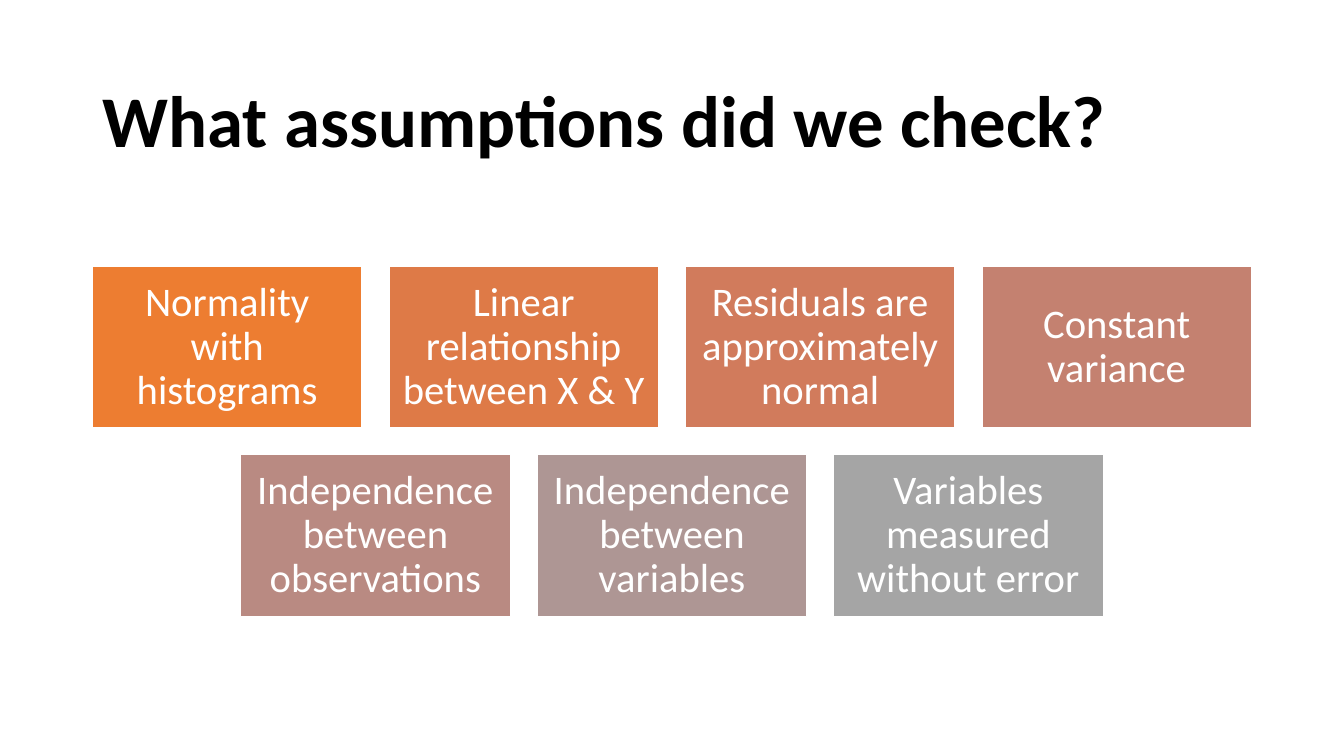
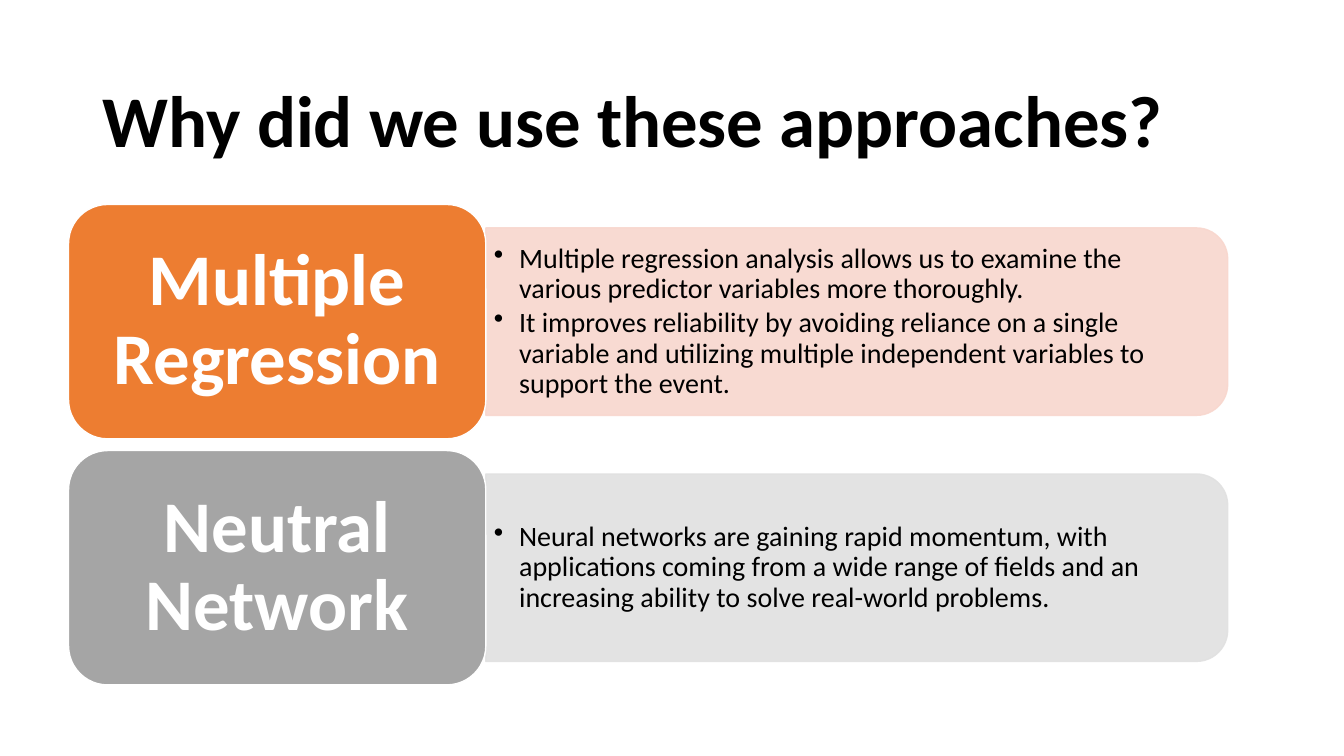
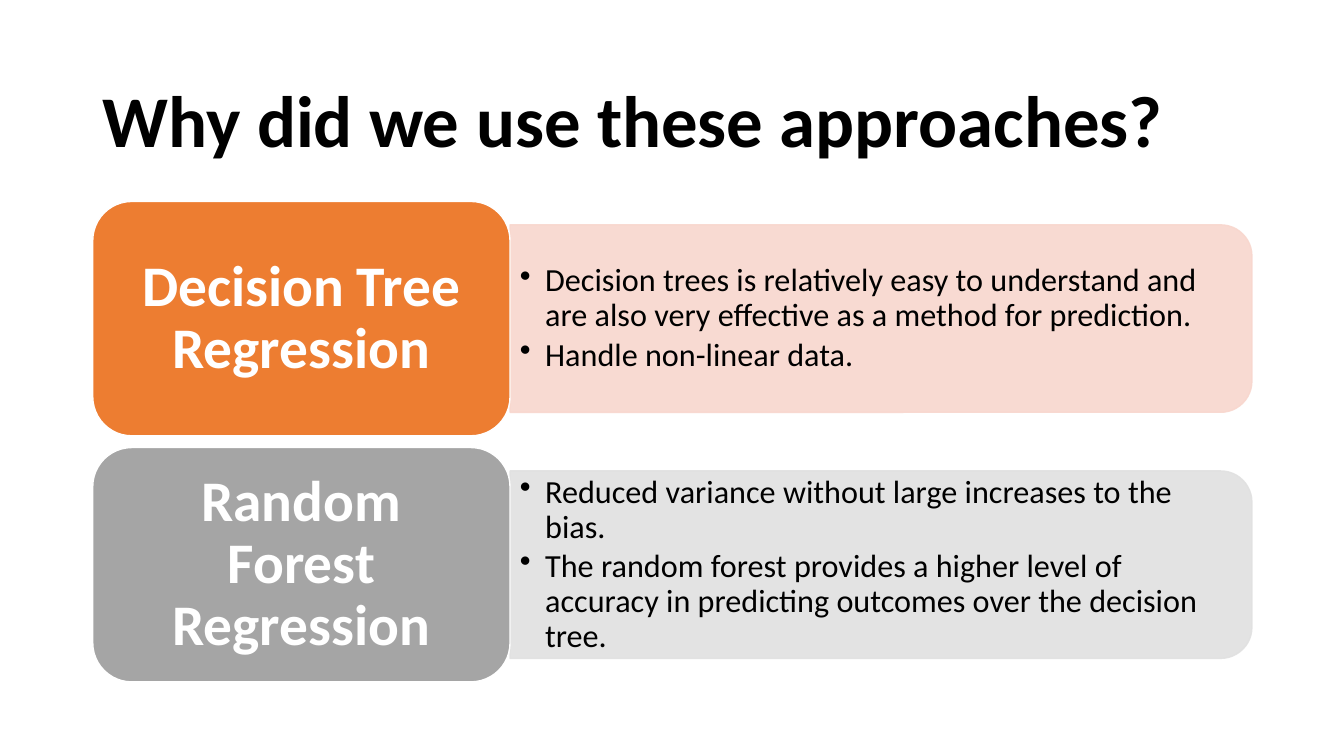
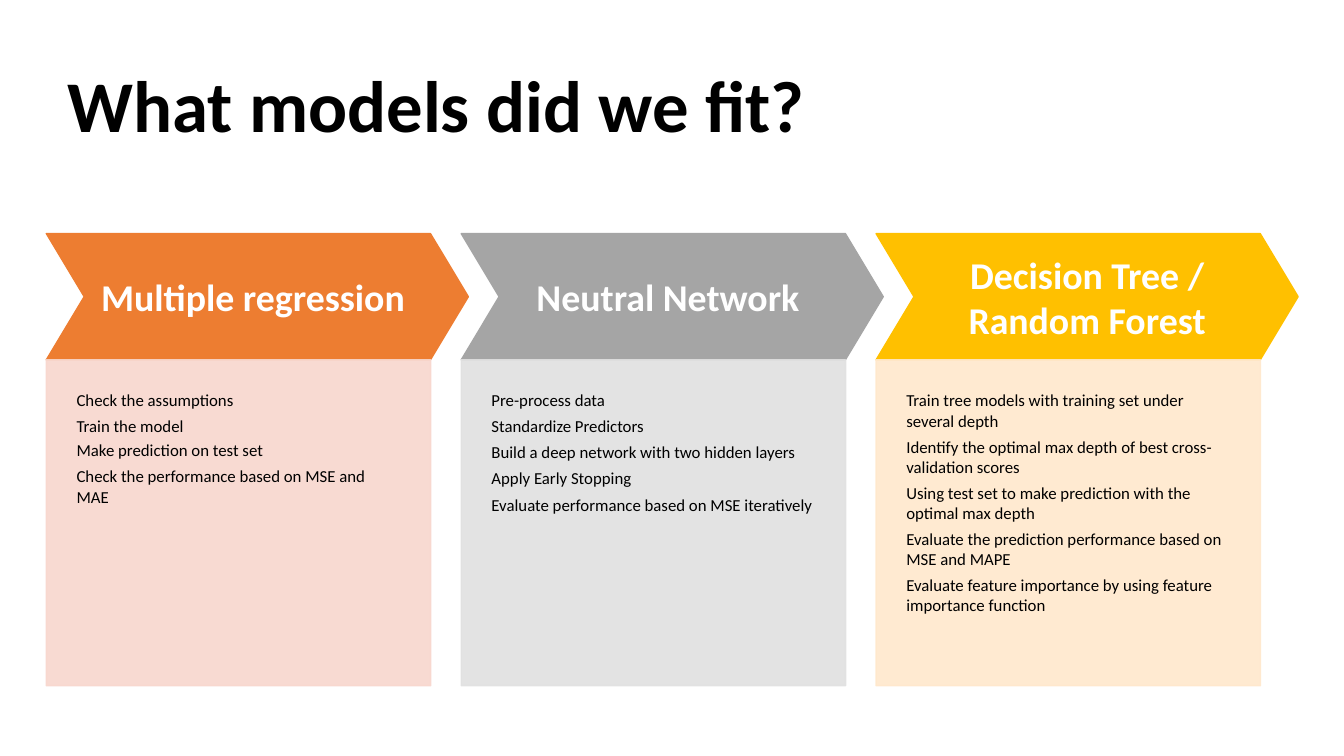
from dataclasses import dataclass

from lxml import etree
from pptx import Presentation, util as u
from pptx.dml import color
from pptx.enum import shapes, text
from pptx.oxml import ns

WIDE, HIGH = 13.333, 7.5
FONT = "Calibri"
BLACK, WHITE = "000000", "FFFFFF"
ORANGE, GREY, GOLD = "ED7D31", "A5A5A5", "FFC000"
PINK, SILVER, CREAM = "F8D7CE", "E1E1E1", "FFE8CC"
KIND = shapes.MSO_SHAPE
LEFT, MID = text.PP_ALIGN.LEFT, text.PP_ALIGN.CENTER
EDGE, SPAN = 6.9, 86.25


@dataclass(frozen=True)
class Box:
    """An area in percent of the slide's width and height."""
    x: float
    y: float
    w: float
    h: float

    def emu(self) -> list[int]:
        sides = (self.x * WIDE, self.y * HIGH, self.w * WIDE, self.h * HIGH)
        return [u.Inches(side / 100) for side in sides]


@dataclass(frozen=True)
class Style:
    size: float
    ink: str = BLACK
    bold: bool = False
    align: int = LEFT
    anchor: int = text.MSO_ANCHOR.MIDDLE
    pads: tuple = (0.1, 0.05, 0.1, 0.05)
    lead: float = 0.9
    after: float = 0.35
    dot: bool = False


@dataclass(frozen=True)
class Topic:
    head: str
    lines: tuple
    dark: str
    pale: str
    tight: tuple = ()


TITLE = Style(52, bold=True)
TILE = Style(29, WHITE, align=MID, pads=(0.12,) * 4)
HEAD = Style(27, WHITE, True, MID, pads=(0.15,) * 4, lead=1)
STEPS = Style(12, anchor=text.MSO_ANCHOR.TOP, pads=(0.3, 0.3, 0.3, 0.6), lead=1)

CHECKS = (
    (("Normality with histograms", ORANGE),
     ("Linear relationship between X & Y", "DE7A47"),
     ("Residuals are approximately normal", "D17B5C"),
     ("Constant variance", "C48170")),
    (("Independence between observations", "B98A82"),
     ("Independence between variables", "AE9694"),
     ("Variables measured without error", GREY)),
)
FIRST = (
    Topic("Multiple Regression", (
        "Multiple regression analysis allows us to examine the various predictor variables more thoroughly.",
        "It improves reliability by avoiding reliance on a single variable and utilizing multiple "
        "independent variables to support the event."), ORANGE, PINK),
    Topic("Neutral Network", (
        "Neural networks are gaining rapid momentum, with applications coming from a wide range of "
        "fields and an increasing ability to solve real-world problems.",), GREY, SILVER),
)
SECOND = (
    Topic("Decision Tree Regression", (
        "Decision trees is relatively easy to understand and are also very effective as a method "
        "for prediction.",
        "Handle non-linear data."), ORANGE, PINK),
    Topic("Random Forest Regression", (
        "Reduced variance without large increases to the bias.",
        "The random forest provides a higher level of accuracy in predicting outcomes over the "
        "decision tree."), GREY, SILVER),
)
MODELS = (
    Topic("Multiple regression ", (
        "Check the assumptions", "Train the model", "Make prediction on test set",
        "Check the performance based on MSE and MAE"), ORANGE, PINK, tight=(2,)),
    Topic("Neutral Network ", (
        "Pre-process data", "Standardize Predictors",
        "Build a deep network with two hidden layers", "Apply Early Stopping",
        "Evaluate performance based on MSE iteratively"), GREY, SILVER),
    Topic("Decision Tree / Random Forest", (
        "Train tree models with training set under several depth",
        "Identify the optimal max depth of best cross-validation scores",
        "Using test set to make prediction with the optimal max depth",
        "Evaluate the prediction performance based on MSE and MAPE",
        "Evaluate feature importance by using feature importance function"), GOLD, CREAM),
)


def apply(item, values: dict) -> None:
    for name, value in values.items():
        setattr(item, name, value)


def rgb(code: str) -> color.RGBColor:
    return color.RGBColor.from_string(code)


def write(shape, lines: tuple, style: Style, tight: tuple = ()) -> None:
    """Fill a shape with paragraphs; those numbered in tight get close leading."""
    frame = shape.text_frame
    sides = ("margin_left", "margin_top", "margin_right", "margin_bottom")
    apply(frame, dict(zip(sides, map(u.Inches, style.pads)),
                      word_wrap=True, vertical_anchor=style.anchor))
    for i, line in enumerate(lines):
        para = frame.paragraphs[0] if i == 0 else frame.add_paragraph()
        last = i == len(lines) - 1
        apply(para, {"alignment": style.align,
                     "line_spacing": 0.9 if i in tight else style.lead,
                     "space_after": u.Pt(0 if last else style.after * style.size)})
        if style.dot:
            props = para._p.get_or_add_pPr()
            props.set("marL", str(u.Inches(0.25)))
            props.set("indent", str(-u.Inches(0.25)))
            etree.SubElement(props, ns.qn("a:buChar"), char="•")
        run = para.add_run()
        run.text = line
        apply(run.font, {"name": FONT, "size": u.Pt(style.size), "bold": style.bold})
        run.font.color.rgb = rgb(style.ink)


def label(slide, box: Box, lines: tuple, style: Style) -> None:
    write(slide.shapes.add_textbox(*box.emu()), lines, style)


def draw(slide, kind: int, box: Box, fill: str, line: str, alpha: int = 100):
    shape = slide.shapes.add_shape(kind, *box.emu())
    shape.shadow.inherit = False
    shape.fill.solid()
    shape.fill.fore_color.rgb = rgb(fill)
    shape.line.color.rgb = rgb(line)
    shape.line.width = u.Pt(1)
    if alpha < 100:
        for tone in shape._element.spPr.iter(ns.qn("a:srgbClr")):
            etree.SubElement(tone, ns.qn("a:alpha"), val=str(alpha * 1000))
    return shape


def turn(shape) -> None:
    """Rotate by a quarter while covering the same area."""
    x, y, w, h = shape.left, shape.top, shape.width, shape.height
    apply(shape, {"left": x + (w - h) // 2, "top": y + (h - w) // 2,
                  "width": h, "height": w, "rotation": 90})


def start(deck, title: str, x: float = EDGE, y: float = 8.13):
    slide = deck.slides.add_slide(deck.slide_layouts[6])
    label(slide, Box(x, y, SPAN, 16.53), (title,), TITLE)
    return slide


def tiles(slide) -> None:
    wide, high, gap = 20.06, 21.4, 2
    for row, cells in enumerate(CHECKS):
        left = (100 - len(cells) * (wide + gap) + gap) / 2
        for col, (words, fill) in enumerate(cells):
            box = Box(left + col * (wide + gap), 35.2 + row * 24.95, wide, high)
            write(draw(slide, KIND.RECTANGLE, box, fill, WHITE), (words,), TILE)


def cards(slide, topics: tuple, x: float, y: float, head: Style, body: Style) -> None:
    wide, high = SPAN * 0.36, 31
    for row, topic in enumerate(topics):
        top, side = y + row * high * 1.05, x + wide
        band = Box(side, top + high * 0.1, SPAN * 0.64, high * 0.8)
        turn(draw(slide, KIND.ROUND_2_SAME_RECTANGLE, band, topic.pale, topic.pale, 90))
        label(slide, Box(side, band.y + 1.2, 54.5, band.h - 2.4), topic.lines, body)
        card = draw(slide, KIND.ROUNDED_RECTANGLE, Box(x, top, wide, high), topic.dark, WHITE)
        write(card, (topic.head,), head)


def flow(slide) -> None:
    for col, topic in enumerate(MODELS):
        x = 3.45 + col * 30.87
        arrow = draw(slide, KIND.CHEVRON, Box(x, 30.9, 31.4, 16.7), topic.dark, topic.dark)
        arrow.adjustments[0] = 0.3
        write(arrow, (topic.head,), HEAD)
        panel = draw(slide, KIND.RECTANGLE, Box(x, 47.6, 28.6, 43.1), topic.pale, topic.pale, 90)
        write(panel, topic.lines, STEPS, topic.tight)


def pair(head: float, body: float, pads: tuple, inner: tuple) -> tuple[Style, Style]:
    """Styles of a card's head and of its bullet list."""
    return (Style(head, WHITE, True, MID, pads=pads * 2),
            Style(body, pads=inner * 2, after=0.15, dot=True))


def main() -> None:
    deck = Presentation()
    apply(deck, {"slide_width": u.Inches(WIDE), "slide_height": u.Inches(HIGH)})
    tiles(start(deck, "What assumptions did we check?"))
    why = "Why did we use these approaches?"
    cards(start(deck, why), FIRST, 5.1, 27.05, *pair(52, 20, (0.22, 0.11), (0.08, 0.04)))
    cards(start(deck, why), SECOND, EDGE, 26.65, *pair(41, 23, (0.17, 0.09), (0.1, 0.05)))
    flow(start(deck, "What models did we fit?", 4.28, 6.13))
    deck.save("out.pptx")


if __name__ == "__main__":
    main()
